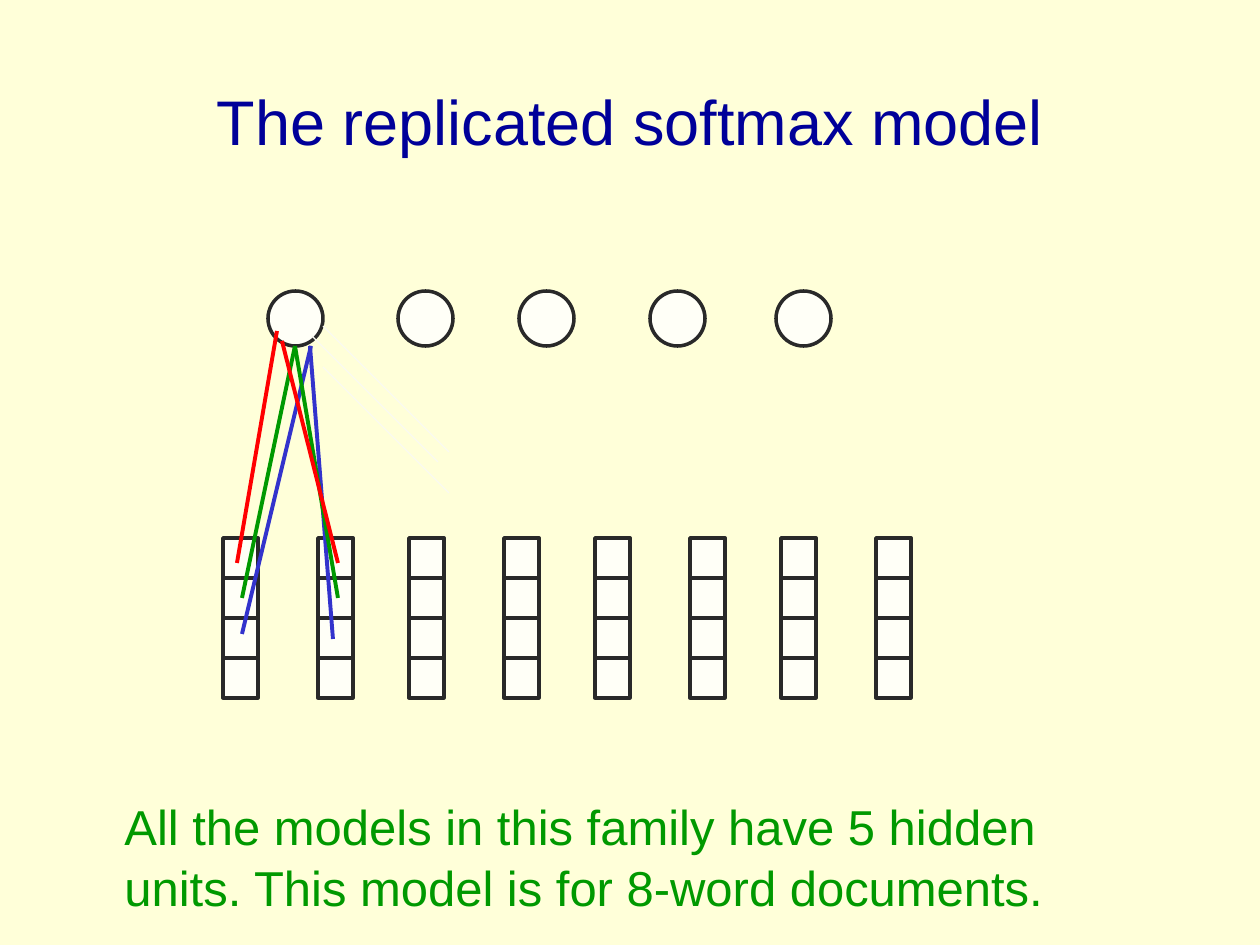
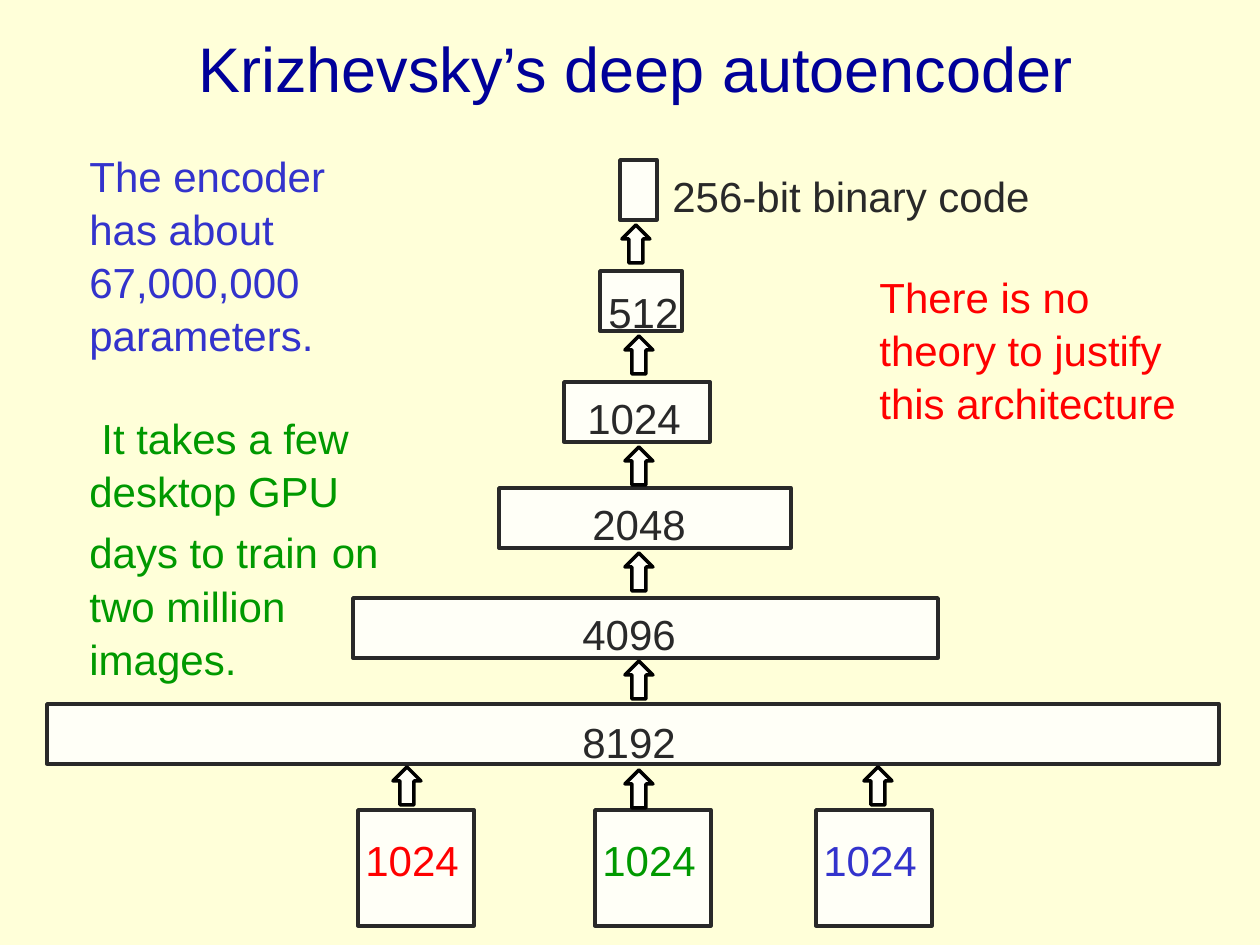
import pptx
import pptx.dml.color
import pptx.enum.shapes
import pptx.enum.text
import pptx.util
from dataclasses import dataclass
from lxml import etree

PX = 7257  # EMU in one px, 126 px to the inch
SHAPE = pptx.enum.shapes.MSO_SHAPE


@dataclass(frozen=True)
class Theme:
    font: str = "Arial"
    background: str = "FFFFD9"
    title: str = "000099"
    ink: str = "292929"
    black: str = "000000"
    box: str = "FFFFF7"
    faint: str = "FAFAF1"
    red: str = "FF0000"
    green: str = "009900"
    blue: str = "3333CC"
    title_size: int = 36
    caption_size: int = 28
    text_size: int = 24
    line_spacing: float = 1.05
    outline: float = 2


theme = Theme()
rgb = pptx.dml.color.RGBColor.from_string


def add_box(s, kind, x, y, w, h, line=theme.ink):
    sp = s.shapes.add_shape(kind, x * PX, y * PX, w * PX, h * PX)
    sp.shadow.inherit = False
    sp.fill.solid()
    sp.fill.fore_color.rgb = rgb(theme.box)
    sp.line.color.rgb = rgb(line)
    sp.line.width = pptx.util.Pt(theme.outline)


def add_text(s, x, y, w, h, paragraphs, size=theme.text_size):
    """Each paragraph is a pair of text and colour."""
    tf = s.shapes.add_textbox(x * PX, y * PX, w * PX, h * PX).text_frame
    tf.word_wrap = True
    for i, (text, color) in enumerate(paragraphs):
        p = tf.add_paragraph() if i else tf.paragraphs[0]
        p.text = text
        p.line_spacing = theme.line_spacing
        for r in p.runs:
            r.font.name = theme.font
            r.font.size = pptx.util.Pt(size)
            r.font.color.rgb = rgb(color)
    return tf


prs = pptx.Presentation()
prs.slide_width = pptx.util.Inches(10)
prs.slide_height = pptx.util.Inches(7.5)
bg = prs.slide_master.background.fill
bg.solid()
bg.fore_color.rgb = rgb(theme.background)

# Slides and their titles
titles = [
    ("The replicated softmax model", 63, 39, 1134),
    ("Krizhevsky’s deep autoencoder", 32, -14, 1207),
]
for text, x, y, w in titles:
    s = prs.slides.add_slide(prs.slide_layouts[5])
    sp = s.shapes.title
    sp.left, sp.top, sp.width, sp.height = x * PX, y * PX, w * PX, 158 * PX
    tf = sp.text_frame
    tf.text = text
    tf.vertical_anchor = pptx.enum.text.MSO_ANCHOR.MIDDLE
    p = tf.paragraphs[0]
    p.alignment = pptx.enum.text.PP_ALIGN.CENTER
    p.line_spacing = theme.line_spacing
    r = p.runs[0]
    r.font.name = theme.font
    r.font.size = pptx.util.Pt(theme.title_size)
    r.font.color.rgb = rgb(theme.title)
softmax, autoencoder = prs.slides

# Softmax: eight visible units of four cells, set in pairs
for pair in range(4):
    for offset in (0, 95):
        for row in range(4):
            add_box(softmax, SHAPE.RECTANGLE,
                    223 + 186 * pair + offset, 538 + 40 * row, 35, 40)

# Softmax: hidden units
for x in (268, 398, 519, 650, 776):
    add_box(softmax, SHAPE.OVAL, x, 291, 55, 55)

add_text(softmax, 112, 787, 977, 131,
         [("All the models in this family have 5 hidden units. "
           "This model is for 8-word documents.", theme.green)],
         theme.caption_size)

# Softmax: shared weights have the same colour
weights = [
    (277, 331, 237, 563, theme.red, 2.25),
    (295, 346, 242, 598, theme.green, 2.25),
    (323, 326, 449, 452, theme.faint, 0.75),
    (323, 367, 449, 493, theme.faint, 0.75),
    (312, 336, 438, 462, theme.faint, 0.75),
    (311, 346, 242, 634, theme.blue, 2.25),
    (310, 346, 333, 639, theme.blue, 2.25),
    (295, 346, 338, 598, theme.green, 2.25),
    (282, 341, 338, 563, theme.red, 2.25),
]
for x1, y1, x2, y2, color, width in weights:
    line = softmax.shapes.add_connector(
        pptx.enum.shapes.MSO_CONNECTOR.STRAIGHT,
        x1 * PX, y1 * PX, x2 * PX, y2 * PX)
    line.line.color.rgb = rgb(color)
    line.line.width = pptx.util.Pt(width)
    etree.SubElement(
        line._element.spPr,
        "{http://schemas.openxmlformats.org/drawingml/2006/main}effectLst")

# Autoencoder: layers, from the code down, with their unit counts
layers = [
    (620, 160, 37, "256-bit binary code", 660, 162, 397),
    (600, 271, 82, "512", 596, 278, 161),
    (564, 382, 146, "1024", 575, 384, 161),
    (499, 488, 292, "2048", 580, 490, 161),
    (353, 598, 585, "4096", 570, 600, 161),
    (47, 704, 1172, "8192", 570, 708, 161),
]
for x, y, w, label, label_x, label_y, label_w in layers:
    add_box(autoencoder, SHAPE.RECTANGLE, x, y, w, 60)
    add_text(autoencoder, label_x, label_y, label_w, 63, [(label, theme.ink)])

# Autoencoder: one input per colour channel
for x, color in ((358, theme.red), (595, theme.green), (816, theme.blue)):
    add_box(autoencoder, SHAPE.RECTANGLE, x, 810, 116, 116)
    add_text(autoencoder, x - 5, 826, 120, 63, [("1024", color)])

# Autoencoder: arrows between layers, by centre
arrows = [(636, 244), (639, 355), (639, 466), (639, 572), (639, 680),
          (639, 789), (878, 786), (407, 786)]
for x, y in arrows:
    add_box(autoencoder, SHAPE.UP_ARROW, x - 14, y - 19, 28, 38, theme.black)

# Autoencoder: remarks
tf = add_text(autoencoder, 77, 142, 333, 525, [
    ("The encoder has about 67,000,000 parameters.", theme.blue),
    ("It takes a few desktop GPU days to train", theme.green)])
p = tf.paragraphs[1]
p.space_before = pptx.util.Pt(29)
pPr = p._p.get_or_add_pPr()
pPr.set("marL", "0")
pPr.set("indent", str(12 * PX))
for text, size in ((" ", theme.caption_size),
                   ("on two million images.", theme.text_size)):
    r = p.add_run()
    r.text = text
    r.font.name = theme.font
    r.font.size = pptx.util.Pt(size)
    r.font.color.rgb = rgb(theme.green)
add_text(autoencoder, 867, 263, 333, 164,
         [("There is no theory to justify this architecture", theme.red)])

prs.save("out.pptx")
